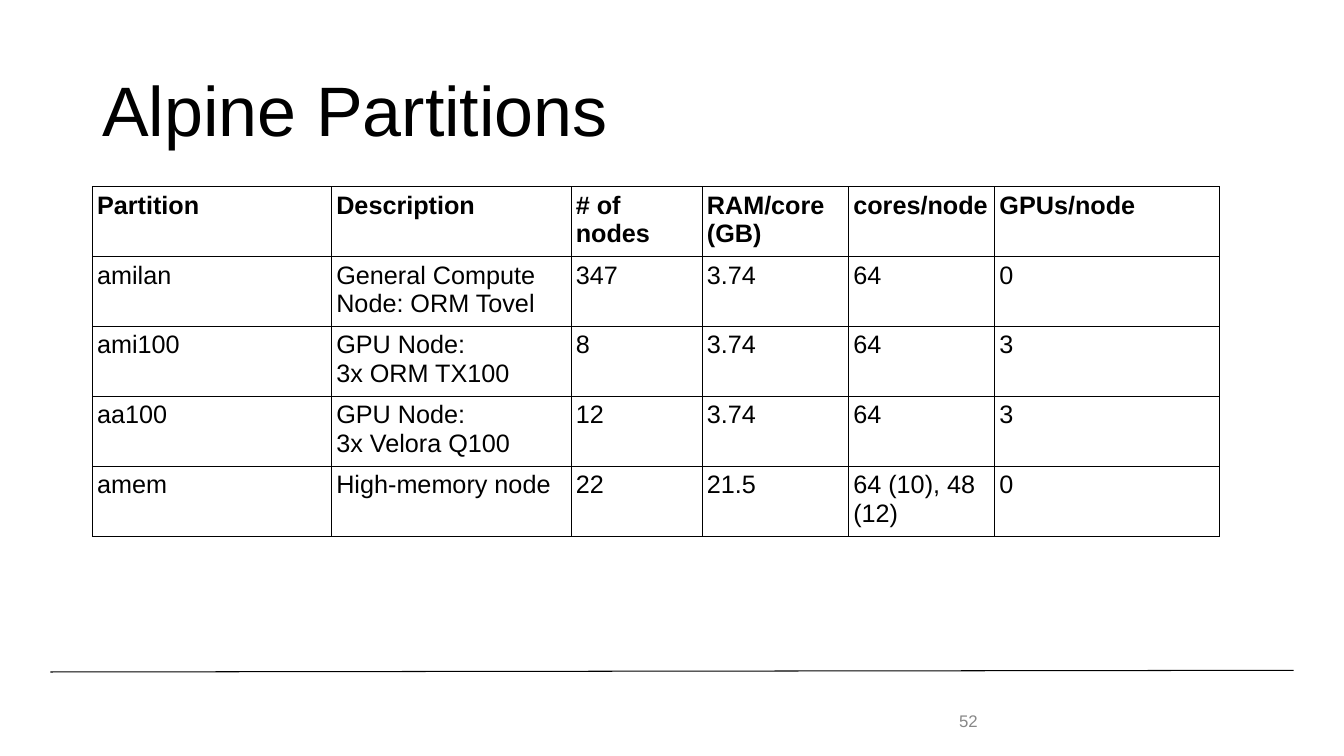
"""Build the Alpine Partitions slide with its table of node types."""
from lxml import etree
from pptx import Presentation
from pptx import util as u
from pptx.dml import color
from pptx.enum import shapes, text
from pptx.oxml import ns

COLORS = {"ink": "000000", "number": "888888"}
TITLE_FORMAT = {"name": "Arial", "size": u.Pt(50), "bold": False}
NUMBER_FORMAT = {"name": "Arial", "size": u.Pt(12), "bold": False}
CELL_FORMAT = {"name": "Arial", "size": u.Pt(18), "bold": False}
HEADER_FORMAT = {**CELL_FORMAT, "bold": True}

COLUMN_WIDTHS = [170.9, 171.1, 93.6, 104.6, 104.4, 160.4]
ROW_HEIGHT = 47.14
CELL_INSET = 3.4
PARTITIONS = [
    ["Partition", "Description", "# of nodes", "RAM/core (GB)", "cores/node", "GPUs/node"],
    ["amilan", "General Compute Node: ORM Tovel", "347", "3.74", "64", "0"],
    ["ami100", "GPU Node:\n3x ORM TX100", "8", "3.74", "64", "3"],
    ["aa100", "GPU Node:\n3x Velora Q100", "12", "3.74", "64", "3"],
    ["amem", "High-memory node", "22", "21.5", "64 (10), 48 (12)", "0"],
]


def write_text(frame, content, format_values, color_name, line_spacing=1.0):
    """Fill a text frame and format each of its paragraphs."""
    frame.text = content
    frame.word_wrap = True
    for paragraph in frame.paragraphs:
        paragraph.line_spacing = line_spacing
        for name, value in format_values.items():
            setattr(paragraph.font, name, value)
        paragraph.font.color.rgb = color.RGBColor.from_string(COLORS[color_name])


def add_label(slide, box, content, format_values, color_name, line_spacing=1.0):
    """Add a vertically centred text box."""
    shape = slide.shapes.add_textbox(*map(u.Pt, box))
    shape.text_frame.vertical_anchor = text.MSO_ANCHOR.MIDDLE
    write_text(shape.text_frame, content, format_values, color_name, line_spacing)


def add_rule(slide, start, end):
    """Add a thin straight line without a shadow."""
    connector = slide.shapes.add_connector(
        shapes.MSO_CONNECTOR.STRAIGHT, *map(u.Pt, (*start, *end)))
    connector.line.color.rgb = color.RGBColor.from_string(COLORS["ink"])
    connector.line.width = u.Pt(0.75)
    etree.SubElement(connector._element.spPr, ns.qn("a:effectLst"))


def add_borders(cell):
    """Draw a thin line on all four sides of a cell."""
    properties = cell._tc.get_or_add_tcPr()
    for position, side in enumerate(("lnL", "lnR", "lnT", "lnB")):
        line = etree.Element(ns.qn(f"a:{side}"), w=str(u.Pt(0.75)))
        fill = etree.SubElement(line, ns.qn("a:solidFill"))
        etree.SubElement(fill, ns.qn("a:srgbClr"), val=COLORS["ink"])
        properties.insert(position, line)


def add_grid(slide, left, top, rows):
    """Add a plain bordered table whose first row is bold."""
    frame = slide.shapes.add_table(
        len(rows), len(COLUMN_WIDTHS), u.Pt(left), u.Pt(top),
        u.Pt(sum(COLUMN_WIDTHS)), u.Pt(ROW_HEIGHT * len(rows)))
    table = frame.table
    table.horz_banding = False
    for column, width in zip(table.columns, COLUMN_WIDTHS):
        column.width = u.Pt(width)
    for row_index, values in enumerate(rows):
        table.rows[row_index].height = u.Pt(ROW_HEIGHT)
        format_values = CELL_FORMAT if row_index else HEADER_FORMAT
        for column_index, content in enumerate(values):
            cell = table.cell(row_index, column_index)
            for side in ("left", "right", "top", "bottom"):
                setattr(cell, f"margin_{side}", u.Pt(CELL_INSET))
            cell.fill.background()
            add_borders(cell)
            write_text(cell.text_frame, content, format_values, "ink")


def main():
    """Create the presentation and save it."""
    presentation = Presentation()
    presentation.slide_width = u.Pt(960)
    presentation.slide_height = u.Pt(540)
    slide = presentation.slides.add_slide(presentation.slide_layouts[6])
    add_rule(slide, (36, 480), (924, 478.8))
    add_label(slide, (66, 28.8, 828, 104.4), "Alpine Partitions", TITLE_FORMAT, "ink", 0.9)
    add_label(slide, (678, 500.4, 54, 28.8), "52", NUMBER_FORMAT, "number")
    add_grid(slide, 66, 133.2, PARTITIONS)
    presentation.save("out.pptx")


if __name__ == "__main__":
    main()
